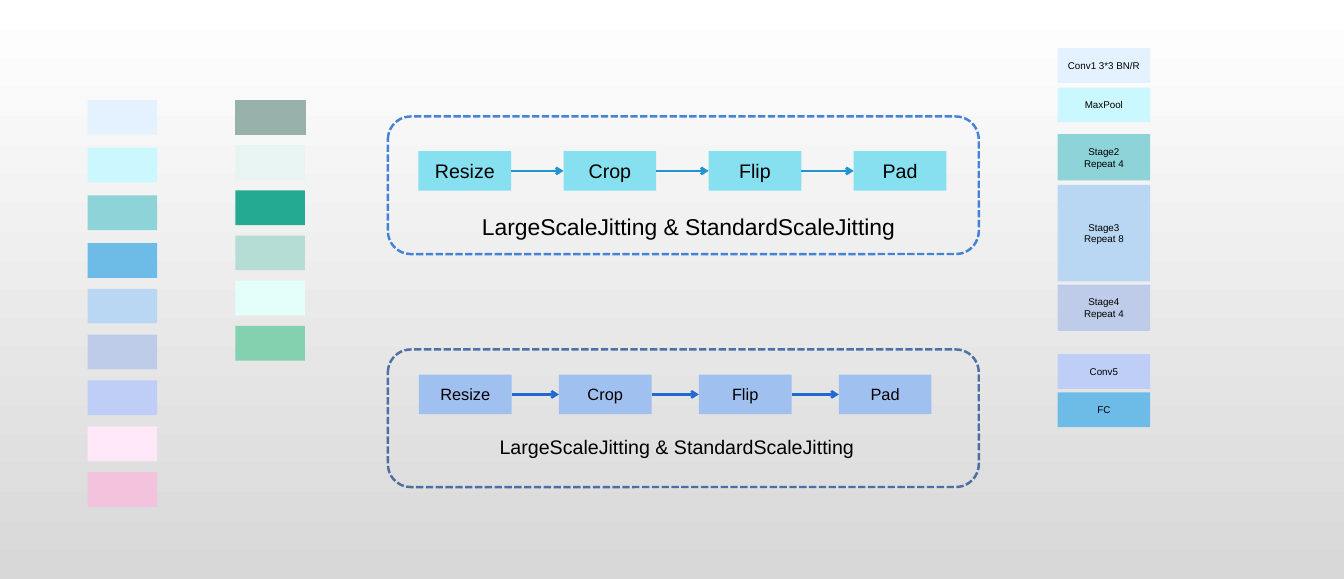
from lxml import etree
from pptx import Presentation
from pptx.dml.color import RGBColor
from pptx.enum.dml import MSO_LINE
from pptx.enum.shapes import MSO_CONNECTOR, MSO_SHAPE
from pptx.enum.text import MSO_ANCHOR, MSO_AUTO_SIZE, PP_ALIGN
from pptx.oxml.ns import qn
from pptx.util import Cm, Pt

RECTANGLE = MSO_SHAPE.RECTANGLE
ROUNDED = MSO_SHAPE.ROUNDED_RECTANGLE
STRAIGHT = MSO_CONNECTOR.STRAIGHT
SYSTEM_DASH = MSO_LINE.SQUARE_DOT
MIDDLE = MSO_ANCHOR.MIDDLE
GROW = MSO_AUTO_SIZE.SHAPE_TO_FIT_TEXT
CENTER, LEFT = PP_ALIGN.CENTER, PP_ALIGN.LEFT
RIGHT_SIDE, LEFT_SIDE = 3, 1

COLORS = {
    "white": "FFFFFF", "grey": "D8D8D8", "black": "000000",
    "ice": "E4F2FF", "cyan": "CBF7FF", "teal": "8ED3D8", "sky": "6DBBE7",
    "pale blue": "B9D7F3", "slate": "BFCCE9", "periwinkle": "BECEF6",
    "blush": "FEE8F8", "pink": "F3C3DE", "sage": "98B1AB", "mist": "E7F4F1",
    "emerald": "24AA92", "seafoam": "B6DDD5", "mint": "E4FFF9", "green": "83D1AE",
    "aqua": "86E0F0", "cornflower": "A0C0F0", "royal": "2169D3",
    "ocean": "2094CE", "navy": "16468D",
}
FONT = "Arial"

SWATCH_COLUMNS = [
    {"left": 3.78, "top": 4.32, "pitch": 2.06, "fills": ["ice", "cyan", "teal", "sky"]},
    {"left": 3.78, "top": 12.47, "pitch": 1.98,
     "fills": ["pale blue", "slate", "periwinkle", "blush", "pink"]},
    {"left": 10.16, "top": 4.32, "pitch": 1.95,
     "fills": ["sage", "mist", "emerald", "seafoam", "mint", "green"]},
]
OUTLINED_SWATCH = "sage"

BACKBONE_LEFT = 45.64
BACKBONE = [
    (["Conv1 3*3 BN/R"], "ice", 2.08, 1.5),
    (["MaxPool"], "cyan", 3.78, 1.5),
    (["Stage2", "Repeat 4"], "teal", 5.79, 2),
    (["Stage3", "Repeat 8"], "pale blue", 7.98, 4.17),
    (["Stage4", "Repeat 4"], "slate", 12.29, 2),
    (["Conv5"], "periwinkle", 15.29, 1.5),
    (["FC"], "sky", 16.94, 1.5),
]

STEPS = ["Resize", "Crop", "Flip", "Pad"]
CAPTION = "LargeScaleJitting & StandardScaleJitting"
PIPELINES = [
    {"frame_top": 5.03, "frame": "royal", "opacity": 81, "left": 18.06, "top": 6.53,
     "pitch": 6.26, "fill": "aqua", "arrow": "ocean", "size": 24,
     "caption": (20.14, 9.04, 19.13, 1.45), "caption_size": 28, "align": CENTER},
    {"frame_top": 15.09, "frame": "navy", "opacity": 73, "left": 18.08, "top": 16.18,
     "pitch": 6.04, "fill": "cornflower", "arrow": "royal", "size": 20,
     "caption": (21.31, 18.64, 16.84, 1.27), "caption_size": 24, "align": LEFT},
]


def rgb(name):
    return RGBColor.from_string(COLORS[name])


def write(frame, lines, size, align):
    frame.word_wrap = True
    for index, line in enumerate(lines):
        paragraph = frame.add_paragraph() if index else frame.paragraphs[0]
        paragraph.alignment = align
        run = paragraph.add_run()
        run.text = line
        run.font.name = FONT
        run.font.size = Pt(size)
        run.font.color.rgb = rgb("black")


def add_block(slide, box, fill, lines=(), size=12):
    shape = slide.shapes.add_shape(RECTANGLE, *map(Cm, box))
    shape.shadow.inherit = False
    shape.fill.solid()
    shape.fill.fore_color.rgb = rgb(fill)
    shape.line.fill.background()
    if lines:
        frame = shape.text_frame
        frame.vertical_anchor = MIDDLE
        frame.margin_left = frame.margin_right = Cm(0.25)
        frame.margin_top = frame.margin_bottom = Cm(0.25)
        write(frame, lines, size, CENTER)
    return shape


def add_frame(slide, top, color, opacity):
    shape = slide.shapes.add_shape(ROUNDED, Cm(16.74), Cm(top), Cm(25.5), Cm(5.94))
    shape.shadow.inherit = False
    shape.fill.background()
    shape.line.color.rgb = rgb(color)
    shape.line.width = Pt(3)
    shape.line.dash_style = SYSTEM_DASH
    line_color = shape.line.fill.fore_color
    color_element = shape.element.spPr.find(f"{qn('a:ln')}//{qn('a:srgbClr')}")
    etree.SubElement(color_element, qn("a:alpha"), val=str(opacity * 1000))


def add_arrow(slide, start, end, color):
    connector = slide.shapes.add_connector(STRAIGHT, 0, 0, 0, 0)
    connector.begin_connect(start, RIGHT_SIDE)
    connector.end_connect(end, LEFT_SIDE)
    connector.line.color.rgb = rgb(color)
    connector.line.width = Pt(3)
    properties = connector.element.spPr
    etree.SubElement(properties.find(qn("a:ln")), qn("a:tailEnd"), type="arrow")
    etree.SubElement(properties, qn("a:effectLst"))


def add_pipeline(slide, pipeline):
    add_frame(slide, pipeline["frame_top"], pipeline["frame"], pipeline["opacity"])
    blocks = []
    for index, step in enumerate(STEPS):
        left = pipeline["left"] + index * pipeline["pitch"]
        box = (left, pipeline["top"], 4, 1.7)
        blocks.append(add_block(slide, box, pipeline["fill"], [step], pipeline["size"]))
    for start, end in zip(blocks, blocks[1:]):
        add_arrow(slide, start, end, pipeline["arrow"])
    caption = slide.shapes.add_textbox(*map(Cm, pipeline["caption"]))
    write(caption.text_frame, [CAPTION], pipeline["caption_size"], pipeline["align"])
    caption.text_frame.auto_size = GROW


def main():
    presentation = Presentation()
    presentation.slide_width, presentation.slide_height = Cm(58), Cm(25)
    slide = presentation.slides.add_slide(presentation.slide_layouts[6])

    background = slide.background.fill
    background.gradient()
    background.gradient_angle = 270
    for stop, color in zip(background.gradient_stops, ("white", "grey")):
        stop.color.rgb = rgb(color)

    for column in SWATCH_COLUMNS:
        for index, fill in enumerate(column["fills"]):
            top = column["top"] + index * column["pitch"]
            swatch = add_block(slide, (column["left"], top, 3, 1.5), fill)
            if fill == OUTLINED_SWATCH:
                swatch.line.color.rgb = rgb(fill)
                swatch.line.width = Pt(0.75)

    for lines, fill, top, height in BACKBONE:
        add_block(slide, (BACKBONE_LEFT, top, 4, height), fill, lines)

    for pipeline in PIPELINES:
        add_pipeline(slide, pipeline)

    presentation.save("out.pptx")


if __name__ == "__main__":
    main()
